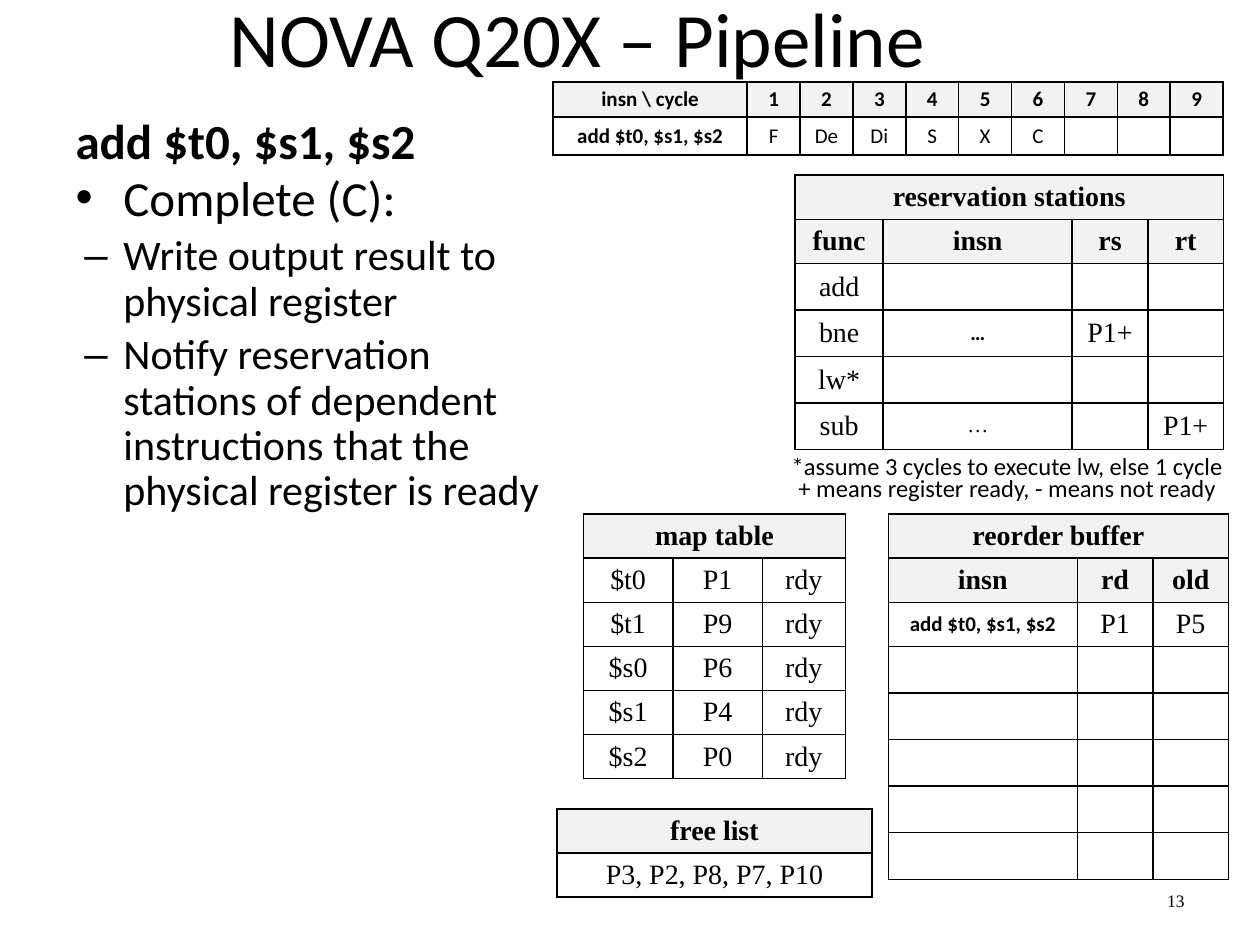
from lxml import etree
from pptx import Presentation
from pptx import util as u
from pptx.dml.color import RGBColor
from pptx.enum import text as t
from pptx.oxml import ns

INK = {"text": "000000", "line": "000000", "head": "F2F2F2", "cell": "FFFFFF"}
SANS, SERIF = "Calibri", "Times New Roman"
CODE = "add $t0, $s1, $s2"
SMALL = (SANS, 12, True)
PLAIN = (SANS, 12, False)


def style(para, face, size, bold=False):
    for run in para.runs:
        run.font.name, run.font.size, run.font.bold = face, u.Pt(size), bold
        run.font.color.rgb = RGBColor.from_string(INK["text"])


def place(shape, box):
    shape.left, shape.top, shape.width, shape.height = map(u.Inches, box)


def edge(cell):
    """Draw a one-point line on all four sides of a cell."""
    props = cell._tc.get_or_add_tcPr()
    for side in ("lnL", "lnR", "lnT", "lnB"):
        line = etree.SubElement(props, ns.qn("a:" + side), w=str(u.Pt(1)))
        fill = etree.SubElement(line, ns.qn("a:solidFill"))
        etree.SubElement(fill, ns.qn("a:srgbClr"), val=INK["line"])


def grid(slide, left, top, cols, tall, rows, heads, looks=None, span=True):
    """Add a table; looks maps (row, column) to font, size and bold."""
    looks = looks or {}
    frame = slide.shapes.add_table(
        len(rows), len(cols), u.Inches(left), u.Inches(top),
        u.Inches(sum(cols)), u.Inches(sum(tall)))
    table = frame.table
    for col, wide in zip(table.columns, cols):
        col.width = u.Inches(wide)
    for row, high in zip(table.rows, tall):
        row.height = u.Inches(high)
    for r, words in enumerate(rows):
        for c in range(len(cols)):
            cell = table.cell(r, c)
            edge(cell)
            cell.fill.solid()
            shade = "head" if r < heads else "cell"
            cell.fill.fore_color.rgb = RGBColor.from_string(INK[shade])
            cell.vertical_anchor = t.MSO_ANCHOR.MIDDLE
            cell.margin_top = cell.margin_bottom = 0
            para = cell.text_frame.paragraphs[0]
            para.alignment = t.PP_ALIGN.CENTER
            para.text = words[c] if c < len(words) else ""
            if (r, c) in looks:
                para.line_spacing = 0.9
            style(para, *looks.get((r, c), (SERIF, 16, r < heads)))
    if span and len(cols) > 1:
        table.cell(0, 0).merge(table.cell(0, len(cols) - 1))


def cycles(slide, left, top):
    rows = [["insn \\ cycle", *"123456789"],
            [CODE, "F", "De", "Di", "S", "X", "C"]]
    looks = {(r, c): PLAIN if r and c else SMALL
             for r in range(2) for c in range(10)}
    grid(slide, left, top, [1.54] + [0.42] * 9, [0.28, 0.3], rows, 1,
         looks, span=False)


def stations(slide, left, top):
    rows = [["reservation stations"], ["func", "insn", "rs", "rt"], ["add"],
            ["bne", "…", "P1+"], ["lw*"], ["sub", "…", "", "P1+"]]
    looks = {(3, 1): SMALL, (5, 1): (SERIF, 12, False)}
    grid(slide, left, top, [0.7, 1.5, 0.6, 0.6], [0.35] * 2 + [0.37] * 4,
         rows, 2, looks)


def mapping(slide, left, top):
    regs = {"$t0": "P1", "$t1": "P9", "$s0": "P6", "$s1": "P4", "$s2": "P0"}
    rows = [["map table"]] + [[reg, phys, "rdy"] for reg, phys in regs.items()]
    grid(slide, left, top, [0.71, 0.71, 0.66], [0.35] * 6, rows, 1)


def free(slide, left, top):
    rows = [["free list"], ["P3, P2, P8, P7, P10"]]
    grid(slide, left, top, [2.5], [0.35] * 2, rows, 1)


def reorder(slide, left, top):
    rows = [["reorder buffer"], ["insn", "rd", "old"], [CODE, "P1", "P5"]]
    rows += [[]] * 5
    grid(slide, left, top, [1.5, 0.6, 0.6], [0.35] * 3 + [0.37] * 5,
         rows, 2, {(2, 0): SMALL})


def label(slide, box, words, face, size, align):
    frame = slide.shapes.add_textbox(*map(u.Inches, box)).text_frame
    frame.word_wrap = True
    frame.vertical_anchor = t.MSO_ANCHOR.MIDDLE
    frame.text = words
    frame.paragraphs[0].alignment = align
    style(frame.paragraphs[0], face, size)


def notes(slide, left, top):
    lines = ["*assume 3 cycles to execute lw, else 1 cycle",
             "+ means register ready, - means not ready"]
    for i, line in enumerate(lines):
        label(slide, (left, top + 0.17 * i, 3.83, 0.5), line, SANS, 14,
              t.PP_ALIGN.CENTER)


def heading(slide, box):
    title = slide.shapes.title
    place(title, box)
    frame = title.text_frame
    frame.text = "NOVA Q20X – Pipeline"
    frame.vertical_anchor = t.MSO_ANCHOR.MIDDLE
    frame.paragraphs[0].alignment = t.PP_ALIGN.CENTER
    style(frame.paragraphs[0], SANS, 44)


def steps(slide, box):
    body = slide.placeholders[1]
    place(body, box)
    frame = body.text_frame
    frame.auto_size = t.MSO_AUTO_SIZE.NONE
    # text, level, size, bold, line spacing, bullet, left indent, hang
    items = [
        (CODE, 0, 28, True, 0.8, None, 0, 0),
        ("Complete (C):", 0, 28, False, 0.8, "•", 0.38, 0.38),
        ("Write output result to physical register",
         1, 24, False, 0.9, "–", 0.38, 0.31),
        ("Notify reservation stations of dependent instructions that the "
         "physical register is ready", 1, 24, False, 0.9, "–", 0.38, 0.31),
    ]
    frame.text = "\n".join(item[0] for item in items)
    for i, (para, item) in enumerate(zip(frame.paragraphs, items)):
        _, para.level, size, bold, para.line_spacing, mark, left, hang = item
        para.space_before = u.Pt(0.2 * size if i else 0)
        props = para._p.get_or_add_pPr()
        props.set("marL", str(u.Inches(left)))
        props.set("indent", str(-u.Inches(hang)))
        if mark:
            etree.SubElement(props, ns.qn("a:buChar"), char=mark)
        else:
            etree.SubElement(props, ns.qn("a:buNone"))
        style(para, SANS, size, bold)


def main():
    deck = Presentation()
    deck.slide_width, deck.slide_height = u.Inches(10), u.Inches(7.5)
    slide = deck.slides.add_slide(deck.slide_layouts[1])
    heading(slide, (0.5, -0.33, 8.17, 1.25))
    label(slide, (8.33, 6.95, 1.17, 0.4), "13", SERIF, 10, t.PP_ALIGN.RIGHT)
    cycles(slide, 4.39, 0.65)
    mapping(slide, 4.63, 4.08)
    free(slide, 4.42, 6.42)
    stations(slide, 6.31, 1.39)
    reorder(slide, 7.05, 4.08)
    notes(slide, 6.08, 3.45)
    steps(slide, (0.5, 0.92, 4.13, 4.95))
    deck.save("out.pptx")


if __name__ == "__main__":
    main()
